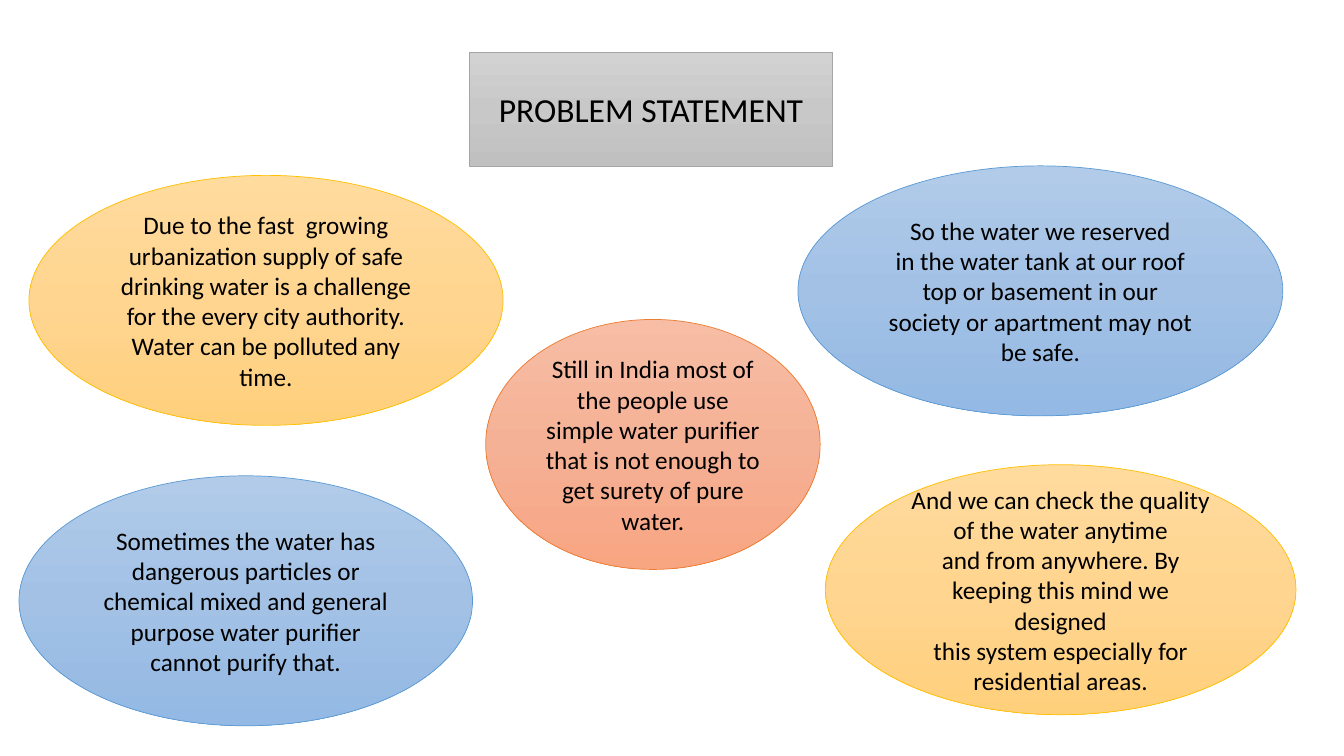
from copy import deepcopy

from pptx import Presentation
from pptx.dml.color import RGBColor
from pptx.enum.shapes import MSO_SHAPE
from pptx.enum.text import MSO_ANCHOR, PP_ALIGN
from pptx.oxml.ns import qn
from pptx.util import Cm, Pt

BLACK = RGBColor(0x00, 0x00, 0x00)

# Each palette: top, middle and bottom of the gradient, then the outline
GREY = (RGBColor(0xD2, 0xD2, 0xD2), RGBColor(0xC8, 0xC8, 0xC8),
        RGBColor(0xC0, 0xC0, 0xC0), RGBColor(0xA5, 0xA5, 0xA5))
GOLD = (RGBColor(0xFF, 0xDB, 0x9E), RGBColor(0xFF, 0xD5, 0x90),
        RGBColor(0xFF, 0xD0, 0x7C), RGBColor(0xFF, 0xC0, 0x00))
BLUE = (RGBColor(0xB1, 0xCB, 0xE9), RGBColor(0xA3, 0xC1, 0xE5),
        RGBColor(0x93, 0xB9, 0xE4), RGBColor(0x5B, 0x9B, 0xD5))
ORANGE = (RGBColor(0xF7, 0xBD, 0xA5), RGBColor(0xF5, 0xB1, 0x96),
          RGBColor(0xF8, 0xA5, 0x82), RGBColor(0xED, 0x7D, 0x31))

HEADING = "PROBLEM STATEMENT"
BUBBLE_HEIGHT = 6.3

# Left, top and width in centimetres, palette, lines
BUBBLES = [
    (0.73, 4.42, 11.95, GOLD, [
        "Due to the fast  growing urbanization supply of safe",
        "drinking water is a challenge for the every city authority.",
        "Water can be polluted any time."]),
    (20.11, 4.18, 12.22, BLUE, [
        "So the water we reserved",
        "in the water tank at our roof top or basement in our",
        "society or apartment may not be safe."]),
    (0.48, 11.99, 11.43, BLUE, [
        "Sometimes the water has",
        "dangerous particles or chemical mixed and general",
        "purpose water purifier cannot purify that."]),
    (20.8, 11.71, 11.86, GOLD, [
        "And we can check the quality of the water anytime",
        "and from anywhere. By keeping this mind we designed",
        "this system especially for residential areas."]),
    (12.24, 8.05, 8.43, ORANGE, [
        "Still in India most of",
        "the people use simple water purifier that is not enough to",
        "get surety of pure water."]),
]


def paint(shape, palette):
    """Give the shape a three-stop vertical gradient and a thin outline."""
    *shades, outline = palette
    shape.fill.gradient()
    shape.fill.gradient_angle = 270
    stop_list = shape._element.spPr.find(qn("a:gradFill")).find(qn("a:gsLst"))
    stop_list.insert(1, deepcopy(stop_list[0]))
    for index, (stop, shade) in enumerate(zip(shape.fill.gradient_stops, shades)):
        stop.position = index / 2
        stop.color.rgb = shade
    shape.line.color.rgb = outline
    shape.line.width = Pt(0.5)


def write(shape, lines, size):
    frame = shape.text_frame
    frame.text = "\n".join(lines)
    frame.word_wrap = True
    frame.vertical_anchor = MSO_ANCHOR.MIDDLE
    for para in frame.paragraphs:
        para.alignment = PP_ALIGN.CENTER
        para.font.name = "Calibri"
        para.font.size = Pt(size)
        para.font.color.rgb = BLACK


def main():
    deck = Presentation()
    deck.slide_width, deck.slide_height = Cm(33.87), Cm(19.05)
    page = deck.slides.add_slide(deck.slide_layouts.get_by_name("Title Only"))

    title = page.shapes.title
    title.left, title.top = Cm(11.84), Cm(1.33)
    title.width, title.height = Cm(9.13), Cm(2.86)
    paint(title, GREY)
    write(title, [HEADING], 24)

    for left, top, width, palette, lines in BUBBLES:
        bubble = page.shapes.add_shape(
            MSO_SHAPE.OVAL, Cm(left), Cm(top), Cm(width), Cm(BUBBLE_HEIGHT))
        bubble.shadow.inherit = False
        paint(bubble, palette)
        write(bubble, lines, 18)

    deck.save("out.pptx")


if __name__ == "__main__":
    main()
